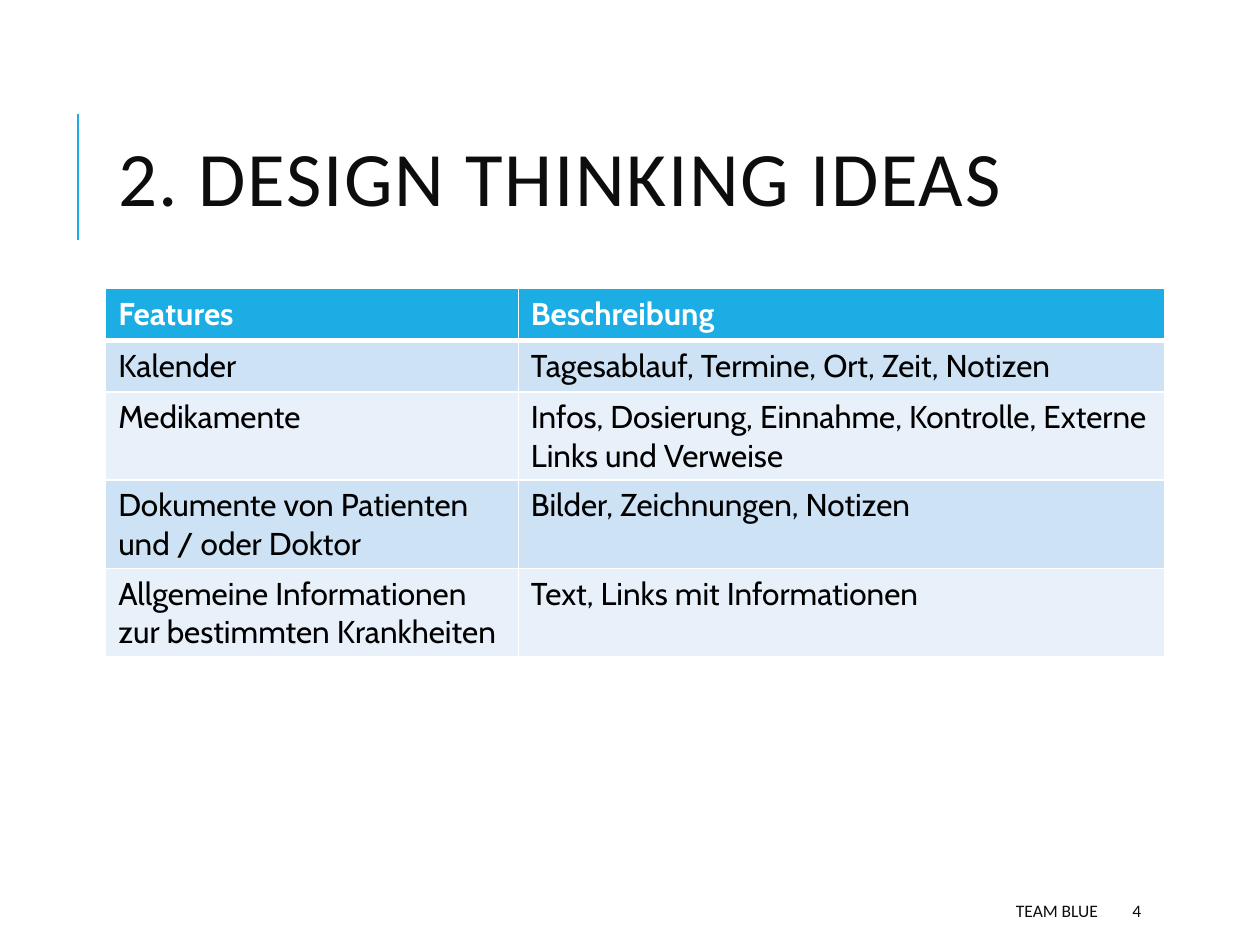
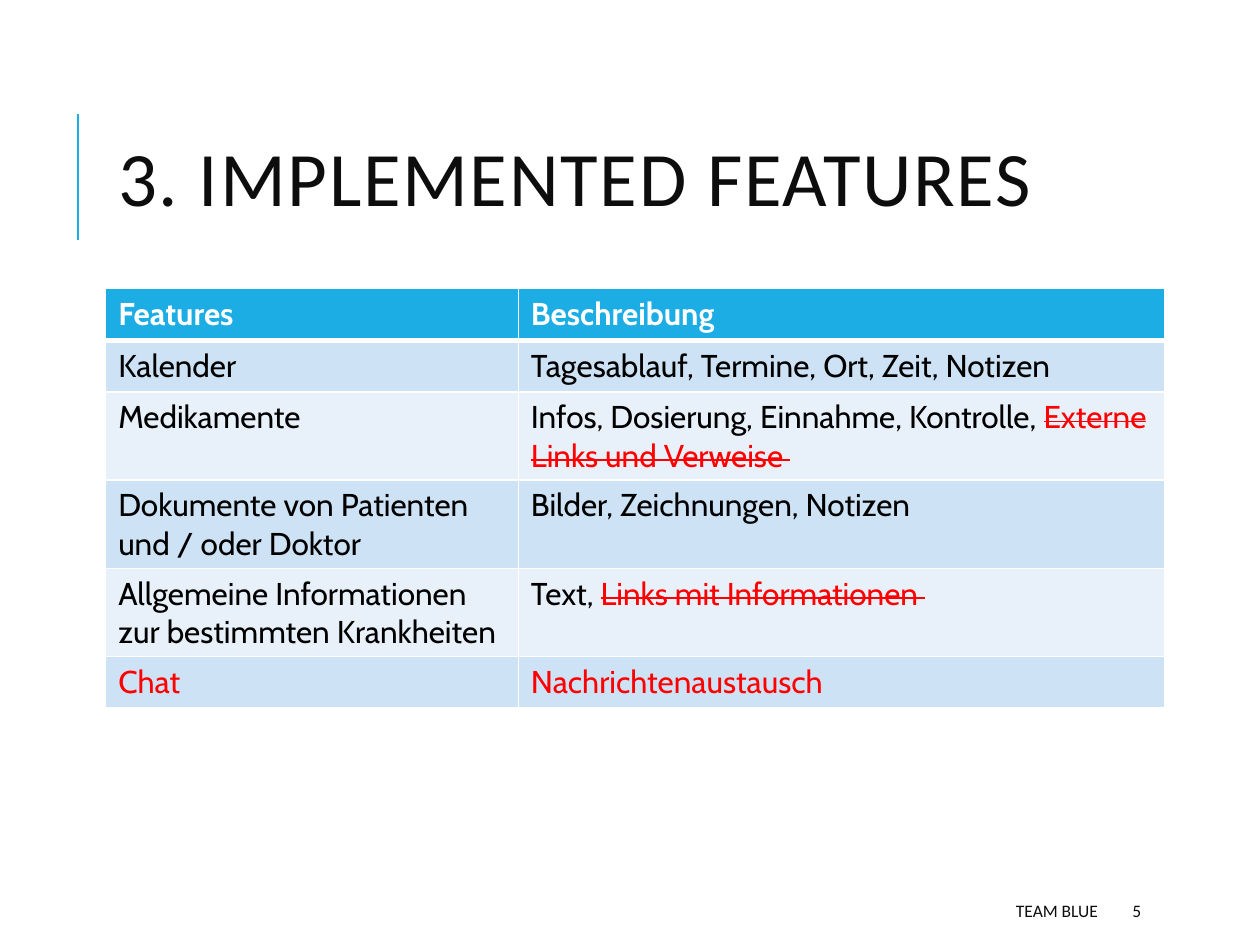
from lxml.etree import SubElement
from pptx import Presentation
from pptx.dml.color import RGBColor
from pptx.enum.shapes import MSO_CONNECTOR
from pptx.enum.text import MSO_ANCHOR, PP_ALIGN
from pptx.oxml.ns import qn
from pptx.util import Cm, Pt

# Content: a cell is a list of (text, style name) runs
HEADINGS = ["Features", "Beschreibung"]
FOOTER = "TEAM BLUE"
CALENDAR = ([("Kalender", "body")],
            [("Tagesablauf, Termine, Ort, Zeit, Notizen", "body")])
DOCUMENTS = ([("Dokumente von Patienten und / oder Doktor", "body")],
             [("Bilder, Zeichnungen, Notizen", "body")])
MEDICATION = [("Medikamente", "body")]
INFORMATION = [("Allgemeine Informationen zur bestimmten Krankheiten", "body")]

SLIDES = [
    {"number": 4, "title": "2. DESIGN THINKING IDEAS", "rows": [
        CALENDAR,
        (MEDICATION, [("Infos, Dosierung, Einnahme, Kontrolle, "
                       "Externe Links und Verweise", "body")]),
        DOCUMENTS,
        (INFORMATION, [("Text, Links mit Informationen", "body")]),
    ]},
    {"number": 5, "title": "3. IMPLEMENTED FEATURES", "rows": [
        CALENDAR,
        (MEDICATION, [("Infos, Dosierung, Einnahme, Kontrolle, ", "body"),
                      ("Externe Links und Verweise ", "removed")]),
        DOCUMENTS,
        (INFORMATION, [("Text, ", "body"),
                       ("Links mit Informationen ", "removed")]),
        ([("Chat", "added")], [("Nachrichtenaustausch", "added")]),
    ]},
]

# Shared look
ACCENT, WHITE, INK, RED = "1CADE4", "FFFFFF", "0D0D0D", "FF0000"
BANDS = ["CDE3F5", "E8F1FA"]
CELL_FONT = {"name": "Cabin", "size": Pt(18), "bold": False}
STYLES = {
    "title": ({"name": "Calibri", "size": Pt(44)}, INK, {"spc": "100"}),
    "footer": ({"name": "Calibri", "size": Pt(10)}, INK, {}),
    "heading": ({**CELL_FONT, "bold": True}, WHITE, {}),
    "body": (CELL_FONT, "000000", {}),
    "added": (CELL_FONT, RED, {}),
    "removed": (CELL_FONT, RED, {"strike": "sngStrike"}),
}

# Layout in centimetres
LEFT = 2.13
TITLE_BOX = (LEFT, 1.63, 20.24, 4.17)
FOOTER_BOX = (10.08, 17.98, 12.3, 0.76)
NUMBER_BOX = (22.58, 17.98, 2.03, 0.76)
RULE_X, RULE_TOP, RULE_BOTTOM = 1.57, 2.29, 4.83
TABLE_TOP, ROW_HEIGHT = 5.82, 1.04
COLUMN_WIDTHS = [8.32, 13.03]


def color(value):
    """Turn a hex string into a colour."""
    return RGBColor.from_string(value)


def add_run(paragraph, text, style):
    """Append a run in one of the named styles."""
    font_values, font_color, attributes = STYLES[style]
    run = paragraph.add_run()
    run.text = text
    for name, value in font_values.items():
        setattr(run.font, name, value)
    run.font.color.rgb = color(font_color)
    for name, value in attributes.items():
        run._r.get_or_add_rPr().set(name, value)


def add_text(slide, box, text, style, **paragraph_values):
    """Add a wrapped, vertically centred line of text."""
    frame = slide.shapes.add_textbox(*map(Cm, box)).text_frame
    frame.word_wrap = True
    frame.vertical_anchor = MSO_ANCHOR.MIDDLE
    paragraph = frame.paragraphs[0]
    for name, value in paragraph_values.items():
        setattr(paragraph, name, value)
    add_run(paragraph, text, style)


def add_title_rule(slide):
    """Draw the accent line left of the title."""
    line = slide.shapes.add_connector(
        MSO_CONNECTOR.STRAIGHT,
        Cm(RULE_X), Cm(RULE_BOTTOM), Cm(RULE_X), Cm(RULE_TOP))
    line.line.color.rgb = color(ACCENT)
    line.line.width = Pt(1.5)
    SubElement(line._element.spPr, qn("a:effectLst"))


def add_borders(cell, top, bottom):
    """Give a cell white borders; top and bottom widths are in points."""
    properties = cell._tc.get_or_add_tcPr()
    for side, width in {"L": 1, "R": 1, "T": top, "B": bottom}.items():
        border = SubElement(properties, qn(f"a:ln{side}"), w=str(Pt(width)))
        fill = SubElement(border, qn("a:solidFill"))
        SubElement(fill, qn("a:srgbClr"), val=WHITE)


def add_feature_table(slide, body_rows):
    """Add the heading row and the banded feature rows."""
    rows = [[[(text, "heading")] for text in HEADINGS], *body_rows]
    table = slide.shapes.add_table(
        len(rows), len(COLUMN_WIDTHS), Cm(LEFT), Cm(TABLE_TOP),
        Cm(sum(COLUMN_WIDTHS)), Cm(ROW_HEIGHT * len(rows))).table
    for column, width in zip(table.columns, COLUMN_WIDTHS):
        column.width = Cm(width)
    for row_index, row in enumerate(rows):
        table.rows[row_index].height = Cm(ROW_HEIGHT)
        band = BANDS[(row_index - 1) % 2] if row_index else ACCENT
        for column_index, runs in enumerate(row):
            cell = table.cell(row_index, column_index)
            add_borders(cell, top=3 if row_index == 1 else 1,
                        bottom=3 if row_index == 0 else 1)
            cell.fill.solid()
            cell.fill.fore_color.rgb = color(band)
            for text, style in runs:
                add_run(cell.text_frame.paragraphs[0], text, style)


def build_slide(presentation, content):
    """Build one slide with title, table and footer."""
    slide = presentation.slides.add_slide(presentation.slide_layouts[6])
    add_title_rule(slide)
    add_text(slide, TITLE_BOX, content["title"], "title", line_spacing=0.8)
    add_text(slide, FOOTER_BOX, FOOTER, "footer", alignment=PP_ALIGN.RIGHT)
    add_text(slide, NUMBER_BOX, str(content["number"]), "footer")
    add_feature_table(slide, content["rows"])


presentation = Presentation()
presentation.slide_width, presentation.slide_height = Cm(25.4), Cm(19.05)
for slide_content in SLIDES:
    build_slide(presentation, slide_content)
presentation.save("out.pptx")
